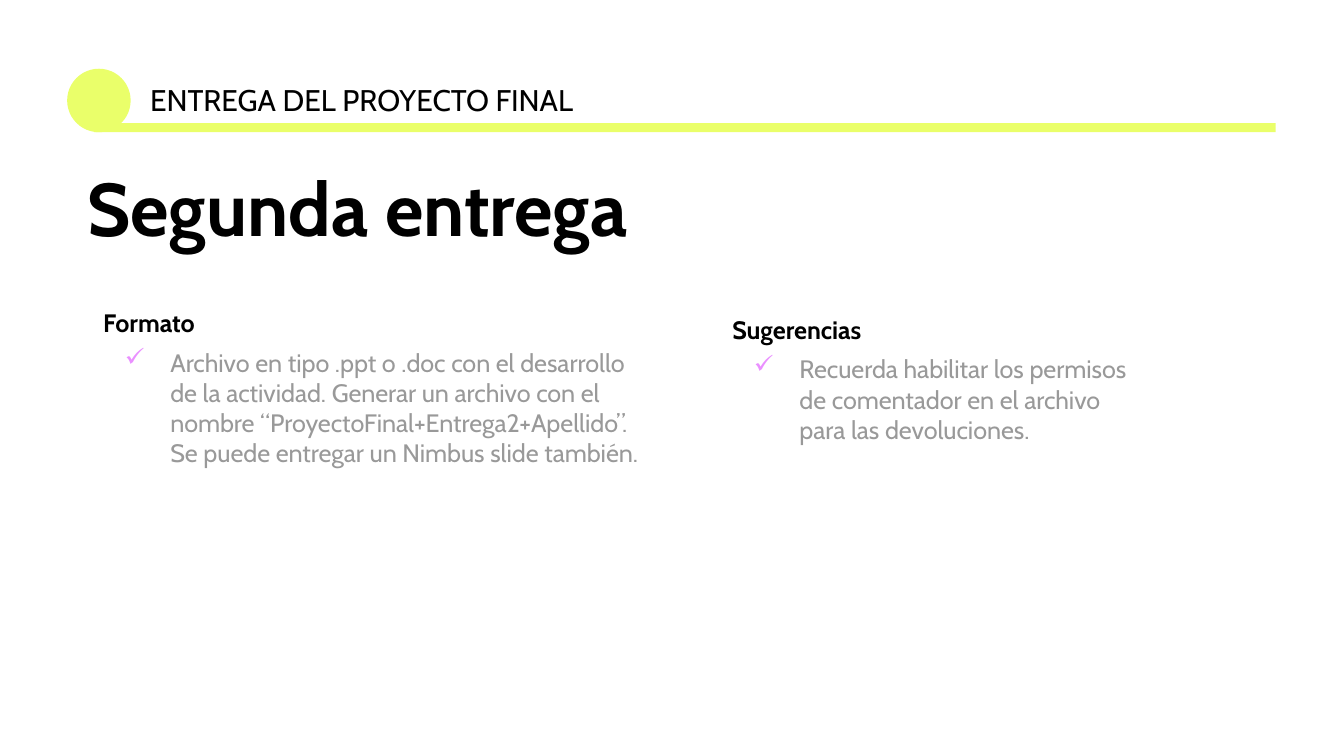
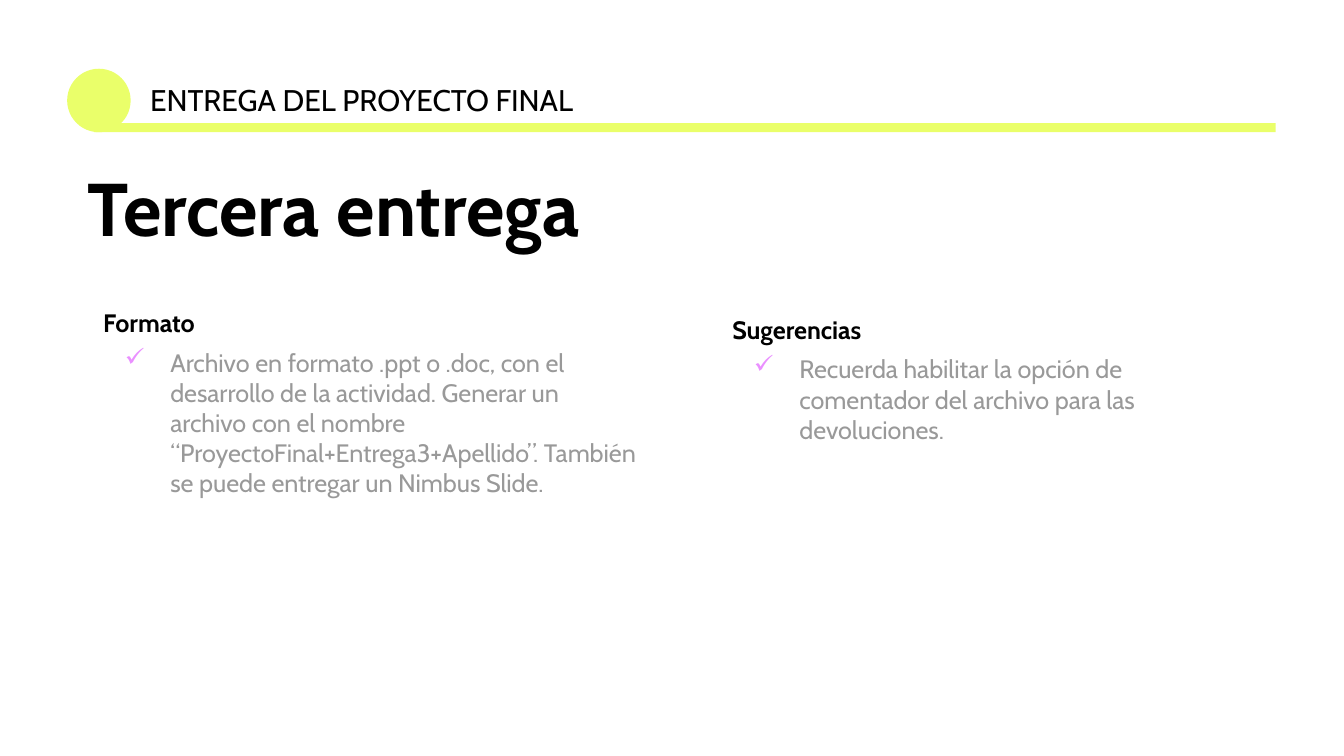
from pptx import Presentation
from pptx.dml.color import RGBColor
from pptx.enum.shapes import MSO_SHAPE
from pptx.enum.text import MSO_AUTO_SIZE
from pptx.oxml.ns import qn
from pptx.util import Cm, Pt
from lxml.etree import SubElement

# Content
HEADER = "ENTREGA DEL PROYECTO FINAL"
SLIDES = [
    {"title": "Segunda entrega",
     "columns": [
         ("Formato", "Archivo en tipo .ppt o .doc con el desarrollo de la actividad. "
          "Generar un archivo con el nombre “ProyectoFinal+Entrega2+Apellido”. "
          "Se puede entregar un Nimbus slide también.", 5.59),
         ("Sugerencias", "Recuerda habilitar los permisos de comentador en el archivo "
          "para las devoluciones.", 3.58)]},
    {"title": "Tercera entrega",
     "columns": [
         ("Formato", "Archivo en formato .ppt o .doc, con el desarrollo de la actividad. "
          "Generar un archivo con el nombre “ProyectoFinal+Entrega3+Apellido”. "
          "También se puede entregar un Nimbus Slide.", 4.72),
         ("Sugerencias", "Recuerda habilitar la opción de comentador del archivo "
          "para las devoluciones.", 3.0)]},
]

# Shared style
FONT = "Cabin"
LIME = RGBColor(0xEA, 0xFF, 0x6A)
BLACK = RGBColor(0, 0, 0)
GREY = RGBColor(0x99, 0x99, 0x99)
PINK = RGBColor(0xEA, 0x90, 0xFF)
COLUMN_PLACES = [(1.7, 5.56, 10.64), (13.59, 5.69, 8.33)]  # left, top, width in cm


def add_box(s, left, top, width, height):
    tf = s.shapes.add_textbox(Cm(left), Cm(top), Cm(width), Cm(height)).text_frame
    tf.word_wrap = True
    tf.auto_size = MSO_AUTO_SIZE.SHAPE_TO_FIT_TEXT
    tf.margin_left = tf.margin_right = tf.margin_top = tf.margin_bottom = Cm(0.25)
    return tf


def write(p, text, size=13.5, color=BLACK, bold=False, spacing=None):
    if spacing:
        p.line_spacing = spacing
    r = p.add_run()
    r.text = text
    r.font.name = FONT
    r.font.size = Pt(size)
    r.font.bold = bold
    r.font.color.rgb = color


def add_check(p):
    pPr = p._p.get_or_add_pPr()
    pPr.set("marL", str(Cm(1.27)))
    pPr.set("indent", str(Cm(-0.86)))
    color = SubElement(pPr, qn("a:buClr"))
    SubElement(color, qn("a:srgbClr")).set("val", str(PINK))
    SubElement(pPr, qn("a:buChar")).set("char", "✓")


def add_lime(s, kind, left, top, width, height):
    sp = s.shapes.add_shape(kind, Cm(left), Cm(top), Cm(width), Cm(height))
    sp.shadow.inherit = False
    sp.fill.solid()
    sp.fill.fore_color.rgb = LIME
    sp.line.fill.background()


def add_header(s):
    add_lime(s, MSO_SHAPE.OVAL, 1.27, 1.3, 1.2, 1.2)
    add_lime(s, MSO_SHAPE.RECTANGLE, 1.78, 2.33, 22.33, 0.17)
    write(add_box(s, 2.59, 1.3, 8.89, 1.2).paragraphs[0], HEADER, size=16)


def add_column(s, place, heading, item, height):
    tf = add_box(s, *place, height)
    write(tf.paragraphs[0], heading, bold=True)
    p = tf.add_paragraph()
    p.space_before = Pt(5)
    add_check(p)
    write(p, item, color=GREY)


def main():
    prs = Presentation()
    prs.slide_width, prs.slide_height = Cm(25.4), Cm(14.29)
    for content in SLIDES:
        s = prs.slides.add_slide(prs.slide_layouts[6])
        add_header(s)
        title = add_box(s, 1.4, 3, 20.3, 2.06)
        write(title.paragraphs[0], content["title"], size=40, bold=True, spacing=0.9)
        for place, column in zip(COLUMN_PLACES, content["columns"]):
            add_column(s, place, *column)
    prs.save("out.pptx")


if __name__ == "__main__":
    main()
